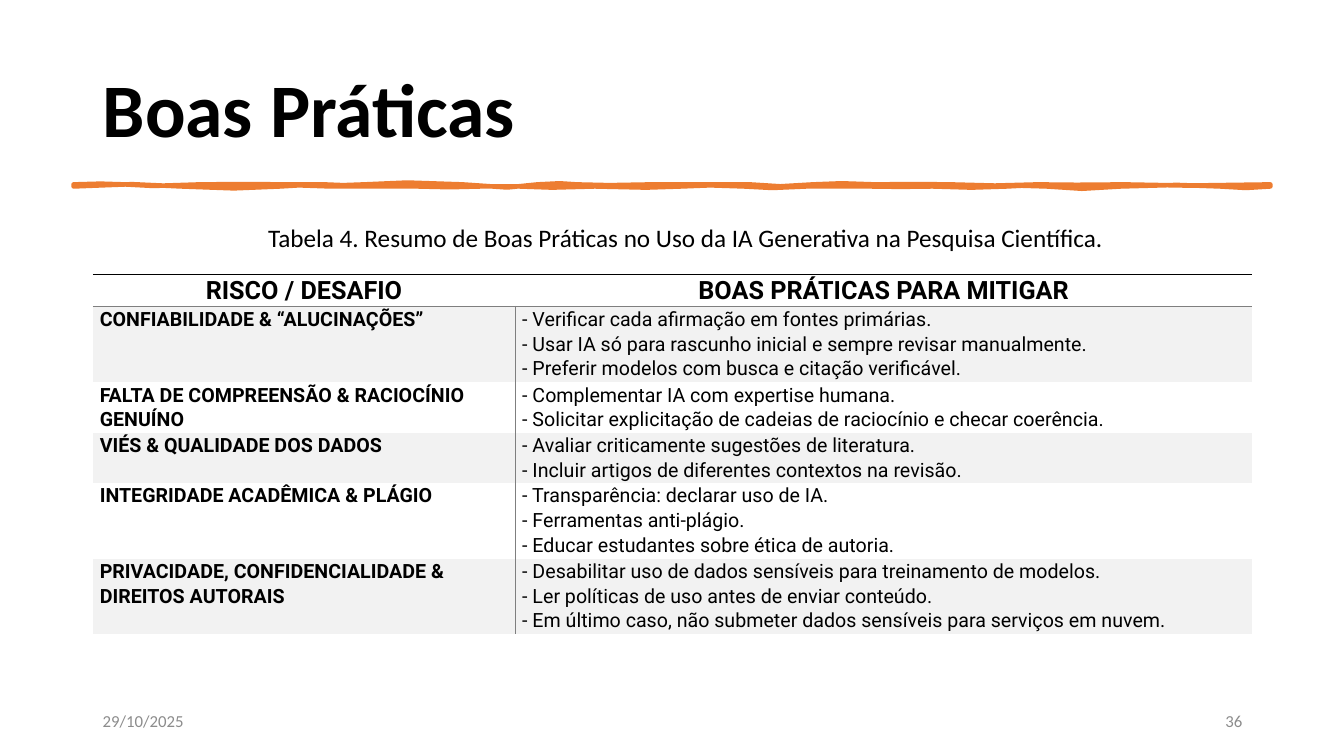
from copy import deepcopy

from lxml import etree
from pptx import Presentation
from pptx import util as u
from pptx.dml.color import RGBColor
from pptx.enum import text
from pptx.oxml.ns import qn

PX = 9144  # EMU per px, 100 px to the inch
COLORS = {"ink": "000000", "muted": "8C8C8C", "accent": "ED7D31",
          "band": "F2F2F2", "rule": "7F7F7F"}
NO_STYLE = "{2D5ABB26-0587-4C30-8999-92F81FD0307C}"

# Brush stroke: two control points and an end point for each curve
STROKE_START = (73, 183)
STROKE_TOP = [
    (89, 181, 111, 183, 124, 183), (136, 184, 162, 186, 198, 183),
    (234, 181, 251, 184, 284, 183), (317, 183, 307, 183, 322, 183),
    (338, 184, 342, 184, 361, 183), (380, 182, 424, 179, 459, 183),
    (494, 188, 517, 186, 533, 183), (549, 181, 563, 182, 572, 183),
    (581, 185, 625, 183, 646, 183), (667, 184, 723, 182, 744, 183),
    (765, 185, 782, 186, 806, 183), (830, 181, 838, 182, 868, 183),
    (899, 185, 914, 180, 943, 183), (972, 187, 1002, 182, 1029, 183),
    (1055, 185, 1078, 182, 1115, 183), (1151, 185, 1199, 184, 1260, 183),
]
STROKE_BOTTOM = [
    (1260, 184, 1260, 184, 1260, 185), (1242, 187, 1230, 187, 1210, 185),
    (1190, 184, 1149, 182, 1112, 185), (1075, 189, 1070, 187, 1038, 185),
    (1005, 184, 1018, 184, 999, 185), (980, 187, 948, 186, 925, 185),
    (902, 185, 884, 186, 863, 185), (841, 185, 828, 185, 800, 185),
    (773, 186, 757, 188, 738, 185), (719, 183, 688, 184, 676, 185),
    (663, 187, 624, 186, 590, 185), (555, 185, 537, 188, 515, 185),
    (494, 183, 491, 187, 477, 185), (463, 184, 430, 188, 414, 185),
    (399, 183, 371, 187, 328, 185), (286, 183, 303, 184, 278, 185),
    (253, 187, 213, 188, 180, 185), (147, 182, 118, 182, 73, 185),
]

HEADERS = ["RISCO / DESAFIO", "BOAS PRÁTICAS PARA MITIGAR"]
PRACTICES = [
    ("CONFIABILIDADE & “ALUCINAÇÕES”",
     ["- Verificar cada afirmação em fontes primárias.",
      "- Usar IA só para rascunho inicial e sempre revisar manualmente.",
      "- Preferir modelos com busca e citação verificável."]),
    ("FALTA DE COMPREENSÃO & RACIOCÍNIO GENUÍNO",
     ["- Complementar IA com expertise humana.",
      "- Solicitar explicitação de cadeias de raciocínio e checar coerência."]),
    ("VIÉS & QUALIDADE DOS DADOS",
     ["- Avaliar criticamente sugestões de literatura.",
      "- Incluir artigos de diferentes contextos na revisão."]),
    ("INTEGRIDADE ACADÊMICA & PLÁGIO",
     ["- Transparência: declarar uso de IA.",
      "- Ferramentas anti-plágio.",
      "- Educar estudantes sobre ética de autoria."]),
    ("PRIVACIDADE, CONFIDENCIALIDADE & DIREITOS AUTORAIS",
     ["- Desabilitar uso de dados sensíveis para treinamento de modelos.",
      "- Ler políticas de uso antes de enviar conteúdo.",
      "- Em último caso, não submeter dados sensíveis para serviços em nuvem."]),
]
HEADER_HEIGHT, LINE_HEIGHT = 32, 25


def color(name):
    return RGBColor.from_string(COLORS[name])


def write_text(frame, content, size, font="Calibri", ink="ink", bold=False,
               align=text.PP_ALIGN.LEFT, spacing=None, after=0):
    """Fill one paragraph; a vertical tab in the content is a line break."""
    paragraph = frame.paragraphs[0]
    paragraph.text = content
    paragraph.alignment = align
    paragraph.space_after = u.Pt(after)
    if spacing:
        paragraph.line_spacing = spacing
    for run in paragraph.runs:
        run.font.name, run.font.size, run.font.bold = font, u.Pt(size), bold
        run.font.color.rgb = color(ink)
    # Breaks take the format of the text around them
    for line_break in paragraph._p.findall(qn("a:br")):
        line_break.append(deepcopy(paragraph.runs[0]._r.rPr))


def add_text(slide, box, content, size, anchor=text.MSO_ANCHOR.MIDDLE, **style):
    frame = slide.shapes.add_textbox(*(n * PX for n in box)).text_frame
    frame.word_wrap = True
    frame.vertical_anchor = anchor
    write_text(frame, content, size, **style)


def curve_points(start, curves, steps=2):
    """Points along a chain of cubic Bézier curves, in EMU."""
    points = []
    for x1, y1, x2, y2, x3, y3 in curves:
        for step in range(1, steps + 1):
            t = step / steps
            s = 1 - t
            weights = (s ** 3, 3 * s * s * t, 3 * s * t * t, t ** 3)
            points.append(tuple(
                round(PX * sum(w * n for w, n in zip(weights, axis)))
                for axis in ((start[0], x1, x2, x3), (start[1], y1, y2, y3))))
        start = (x3, y3)
    return points


def add_brush_stroke(slide):
    builder = slide.shapes.build_freeform(*(n * PX for n in STROKE_START))
    builder.add_line_segments(
        curve_points(STROKE_START, STROKE_TOP + STROKE_BOTTOM), close=True)
    stroke = builder.convert_to_shape()
    stroke.shadow.inherit = False
    stroke.fill.solid()
    stroke.fill.fore_color.rgb = color("accent")
    stroke.line.color.rgb = color("accent")
    stroke.line.width = u.Pt(3.25)


def add_borders(cell, borders):
    """Draw 1 pt borders on the named sides and none on the others."""
    properties = cell._tc.get_or_add_tcPr()
    for side in "LRTB":
        line = etree.SubElement(properties, qn(f"a:ln{side}"), w=str(u.Pt(1)))
        if side in borders:
            fill = etree.SubElement(line, qn("a:solidFill"))
            etree.SubElement(fill, qn("a:srgbClr"), val=COLORS[borders[side]])
        else:
            etree.SubElement(line, qn("a:noFill"))


def fill_cell(cell, content, size, borders, banded=False, **style):
    cell.margin_left = cell.margin_right = 7 * PX
    cell.margin_top = cell.margin_bottom = 0
    add_borders(cell, borders)
    if banded:
        cell.fill.solid()
        cell.fill.fore_color.rgb = color("band")
    else:
        cell.fill.background()
    write_text(cell.text_frame, content, size, font="Roboto",
               spacing=1.07, after=8, **style)


def add_practices_table(slide):
    heights = [HEADER_HEIGHT] + [LINE_HEIGHT * len(lines) for _, lines in PRACTICES]
    table = slide.shapes.add_table(
        len(heights), 2, 92 * PX, 272 * PX, 1150 * PX, sum(heights) * PX).table
    table.first_row = table.horz_banding = False
    table._tbl.tblPr.find(qn("a:tableStyleId")).text = NO_STYLE
    for column, width in zip(table.columns, (419, 731)):
        column.width = width * PX
    for row, height in zip(table.rows, heights):
        row.height = height * PX

    for index, header in enumerate(HEADERS):
        fill_cell(table.cell(0, index), header, 18, {"T": "ink", "B": "rule"},
                  bold=True, align=text.PP_ALIGN.CENTER)
    for index, (risk, lines) in enumerate(PRACTICES, 1):
        top = {"T": "rule"} if index == 1 else {}
        banded = index % 2 == 1
        fill_cell(table.cell(index, 0), risk, 14, {"R": "rule", **top},
                  banded, bold=True)
        fill_cell(table.cell(index, 1), "\v".join(lines), 14,
                  {"L": "rule", **top}, banded)


def main():
    presentation = Presentation()
    presentation.slide_width, presentation.slide_height = 1333 * PX, 750 * PX
    slide = presentation.slides.add_slide(presentation.slide_layouts[6])

    # Title and rule
    add_text(slide, (92, 40, 1175, 145), "Boas Práticas", 54, bold=True, spacing=0.9)
    add_brush_stroke(slide)

    # Footer
    add_text(slide, (92, 695, 300, 40), "29/10/2025", 12, ink="muted", after=6)
    add_text(slide, (942, 695, 300, 40), "36", 12, ink="muted", after=6,
             align=text.PP_ALIGN.RIGHT)

    # Caption and table
    add_text(slide, (256, 216, 1031, 40),
             "Tabela 4. Resumo de Boas Práticas no Uso da IA Generativa na Pesquisa Científica.",
             18, anchor=text.MSO_ANCHOR.TOP)
    add_practices_table(slide)

    presentation.save("out.pptx")


if __name__ == "__main__":
    main()
